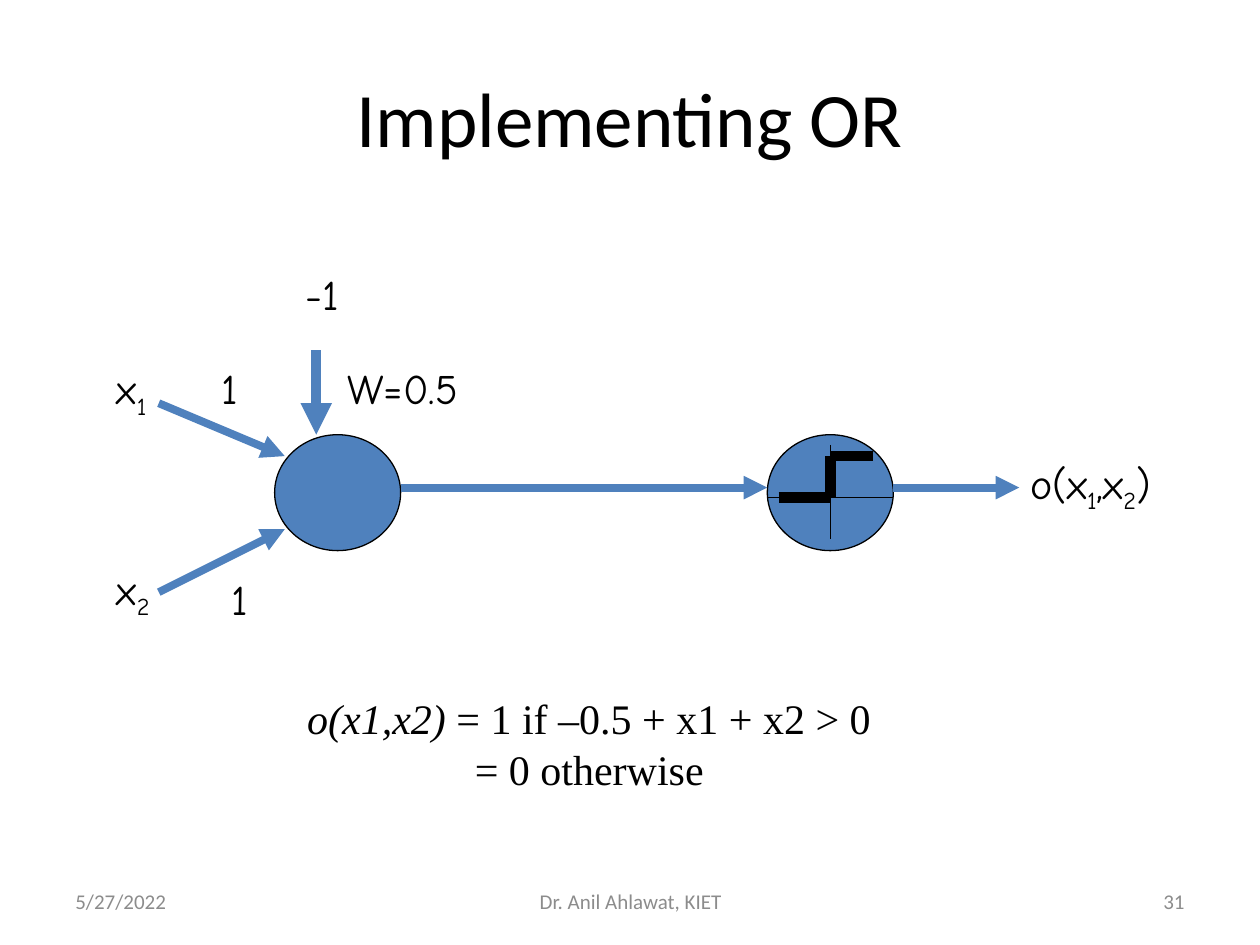
from lxml.etree import SubElement
from pptx import Presentation
from pptx.dml.color import RGBColor
from pptx.enum.shapes import MSO_CONNECTOR as Connector, MSO_SHAPE as Shape
from pptx.enum.text import MSO_ANCHOR as Anchor, PP_ALIGN as Align
from pptx.oxml.ns import qn
from pptx.util import Inches, Pt

BLACK = RGBColor(0, 0, 0)
BLUE = RGBColor(0x4F, 0x81, 0xBD)
GREY = RGBColor(0x8C, 0x8C, 0x8C)

TITLE = "Implementing OR"
NEURON_TOP, NEURON_WIDTH, NEURON_HEIGHT = 3.45, 1, 0.92
SUM_LEFT, STEP_LEFT = 2.18, 6.09
STEP_MIDDLE = STEP_LEFT + NEURON_WIDTH / 2
AXIS_Y, STEP_Y, SIGNAL_Y = 3.95, 3.62, 3.87

ARROWS = [
    ((SUM_LEFT + NEURON_WIDTH, SIGNAL_Y), (STEP_LEFT, SIGNAL_Y), 4.5),
    ((STEP_LEFT + NEURON_WIDTH, SIGNAL_Y), (8.09, SIGNAL_Y), 4.5),
    ((1.26, 3.2), (2.26, 3.62), 4.5),
    ((1.26, 4.7), (2.26, 4.2), 4.5),
    ((2.51, 2.78), (2.51, NEURON_TOP), 6),
]
AXES = [
    ((STEP_MIDDLE, 3.53), (STEP_MIDDLE, 4.28)),
    ((STEP_LEFT, AXIS_Y), (STEP_LEFT + NEURON_WIDTH, AXIS_Y)),
]
STEP_POINTS = [(6.18, AXIS_Y), (STEP_MIDDLE, AXIS_Y), (STEP_MIDDLE, STEP_Y), (6.93, STEP_Y)]

LABELS = [
    (0.83, 2.83, 0.5, [("x", ""), ("1", "sub")]),
    (0.83, 4.42, 0.53, [("x", ""), ("2", "sub")]),
    (8.08, 3.58, 1.34, [("o(x", ""), ("1", "sub"), (",x", ""), ("2", "sub"), (")", "")]),
    (1.66, 2.83, 0.35, [("1", "")]),
    (1.74, 4.5, 0.35, [("1", "")]),
    (2.33, 2.08, 0.49, [("-1", "")]),
    (2.66, 2.83, 1.21, [("W=0.5", "")]),
]
FORMULA = [
    [("o(x1,x2)", "italic"), (" = 1 if –0.5 + x1 + x2 > 0", "")],
    [("= 0 otherwise", "")],
]
FOOTERS = [
    (0.5, 2.33, "5/27/2022", Align.LEFT),
    (3.42, 3.17, "Dr. Anil Ahlawat, KIET", Align.CENTER),
    (7.17, 2.33, "31", Align.RIGHT),
]


def set_font(paragraph, name, size, color):
    paragraph.font.name = name
    paragraph.font.size = Pt(size)
    paragraph.font.color.rgb = color


def add_text(slide, box, lines, name, size, color, align=Align.LEFT, wrap=False):
    frame = slide.shapes.add_textbox(*map(Inches, box)).text_frame
    frame.word_wrap = wrap
    for index, pieces in enumerate(lines):
        paragraph = frame.add_paragraph() if index else frame.paragraphs[0]
        paragraph.alignment = align
        set_font(paragraph, name, size, color)
        for text, style in pieces:
            run = paragraph.add_run()
            run.text = text
            if style == "italic":
                run.font.italic = True
            elif style == "sub":
                run._r.get_or_add_rPr().set("baseline", "-25000")
    return frame


def add_line(slide, start, end, color, width, arrow=False):
    line = slide.shapes.add_connector(Connector.STRAIGHT, *map(Inches, start + end))
    line.line.color.rgb = color
    line.line.width = Pt(width)
    if arrow:
        SubElement(line.line._get_or_add_ln(), qn("a:tailEnd"), type="triangle")
    SubElement(line._element.spPr, qn("a:effectLst"))


def add_neuron(slide, left):
    box = (left, NEURON_TOP, NEURON_WIDTH, NEURON_HEIGHT)
    neuron = slide.shapes.add_shape(Shape.OVAL, *map(Inches, box))
    neuron.shadow.inherit = False
    neuron.fill.solid()
    neuron.fill.fore_color.rgb = BLUE
    neuron.line.color.rgb = BLACK
    neuron.line.width = Pt(0.75)


def main():
    presentation = Presentation()
    presentation.slide_width, presentation.slide_height = Inches(10), Inches(7.5)
    slide = presentation.slides.add_slide(presentation.slide_layouts[5])

    title = slide.shapes.title
    title.left, title.top, title.width, title.height = map(Inches, (0.5, 0.3, 9, 1.25))
    title.text_frame.text = TITLE
    title.text_frame.vertical_anchor = Anchor.MIDDLE
    title.text_frame.paragraphs[0].alignment = Align.CENTER
    set_font(title.text_frame.paragraphs[0], "Calibri", 44, BLACK)

    for left in (SUM_LEFT, STEP_LEFT):
        add_neuron(slide, left)
    for start, end, width in ARROWS:
        add_line(slide, start, end, BLUE, width, arrow=True)
    for start, end in AXES:
        add_line(slide, start, end, BLACK, 0.75)
    for start, end in zip(STEP_POINTS, STEP_POINTS[1:]):
        add_line(slide, start, end, BLACK, 6)

    for left, top, width, pieces in LABELS:
        add_text(slide, (left, top, width, 0.5), [pieces], "Comic Neue", 24, BLACK)
    formula = add_text(slide, (2.34, 5.45, 4.67, 0.9), FORMULA, "Times New Roman", 24, BLACK)
    indent = formula.paragraphs[1]._p.get_or_add_pPr()
    indent.set("marL", str(Inches(1.33)))
    indent.set("indent", "0")

    for left, width, text, align in FOOTERS:
        footer = add_text(slide, (left, 6.95, width, 0.4), [[(text, "")]],
                          "Calibri", 12, GREY, align, wrap=True)
        footer.vertical_anchor = Anchor.MIDDLE

    presentation.save("out.pptx")


if __name__ == "__main__":
    main()
